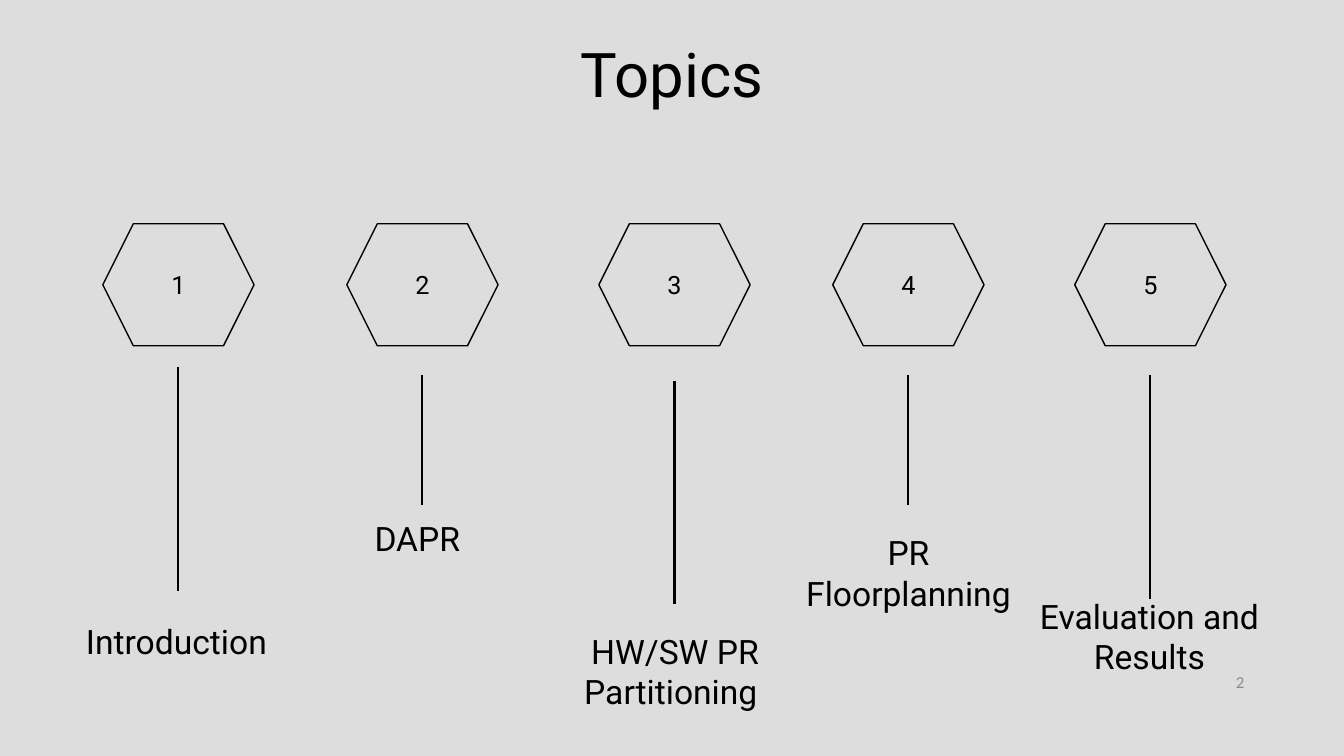
from pptx import Presentation
from pptx.dml.color import RGBColor
from pptx.enum import shapes, text
from pptx.oxml.ns import qn
from pptx.util import Inches, Pt
from lxml import etree

BLACK = RGBColor(0, 0, 0)
GREY = RGBColor(0x8C, 0x8C, 0x8C)
BACK = RGBColor(0xDD, 0xDD, 0xDD)
CENTER = text.PP_ALIGN.CENTER
TOP, MIDDLE = text.MSO_ANCHOR.TOP, text.MSO_ANCHOR.MIDDLE

deck = Presentation()
deck.slide_width, deck.slide_height = Inches(13.33), Inches(7.5)
slide = deck.slides.add_slide(deck.slide_layouts[6])
slide.background.fill.solid()
slide.background.fill.fore_color.rgb = BACK


def write(shape, words, size, anchor=TOP, align=CENTER, face="Roboto", color=BLACK):
    frame = shape.text_frame
    frame.word_wrap = True
    frame.vertical_anchor = anchor
    line = frame.paragraphs[0]
    line.alignment = align
    run = line.add_run()
    run.text = words
    run.font.size, run.font.name = Pt(size), face
    run.font.color.rgb = color


def box(left, top, width, height):
    return slide.shapes.add_textbox(*map(Inches, (left, top, width, height)))


# Title
title = box(0, 0.23, 13.33, 1.24)
for side in ("left", "top", "right", "bottom"):
    setattr(title.text_frame, "margin_" + side, Inches(0.13))
write(title, "Topics", 44)

# Page number
write(box(9.44, 6.56, 3, 0.4), "2", 12, MIDDLE, text.PP_ALIGN.RIGHT, "Calibri", GREY)

# Topics: hexagon left, stem top and bottom, label and its box
topics = [
    (1.02, 3.64, 5.86, "Introduction", (0.16, 6.11, 3.18, 0.5)),
    (3.44, 3.72, 5.01, "DAPR ", (2.94, 5.09, 2.48, 0.5)),
    (5.94, 3.78, 5.99, "HW/SW PR Partitioning ", (5.31, 6.21, 2.77, 0.91)),
    (8.26, 3.72, 5.01, "PR Floorplanning", (7.65, 5.23, 2.72, 0.91)),
    (10.66, 3.72, 5.94, "Evaluation and Results", (10.04, 5.86, 2.72, 0.91)),
]
for num, (left, top, end, label, place) in enumerate(topics, 1):
    write(box(*place), label, 24)

    hexa = slide.shapes.add_shape(
        shapes.MSO_SHAPE.HEXAGON, Inches(left), Inches(2.22), Inches(1.5), Inches(1.21))
    hexa.shadow.inherit = False
    hexa.fill.solid()
    hexa.fill.fore_color.rgb = BACK
    hexa.line.color.rgb = BLACK
    hexa.line.width = Pt(1)
    write(hexa, str(num), 18, MIDDLE)

    mid = Inches(left + 0.75)
    stem = slide.shapes.add_connector(
        shapes.MSO_CONNECTOR.STRAIGHT, mid, Inches(top), mid, Inches(end))
    stem.line.color.rgb = BLACK
    stem.line.width = Pt(1.5)
    etree.SubElement(stem._element.spPr, qn("a:effectLst"))

deck.save("out.pptx")
